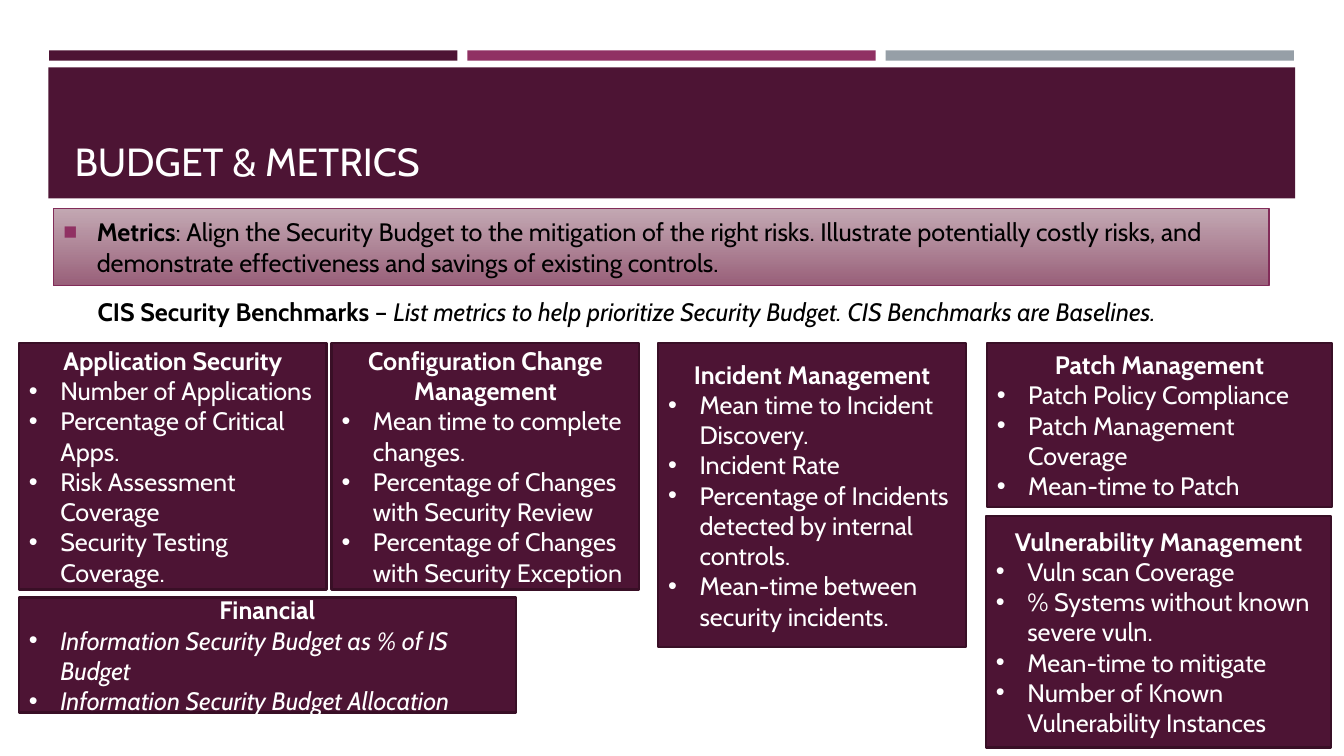
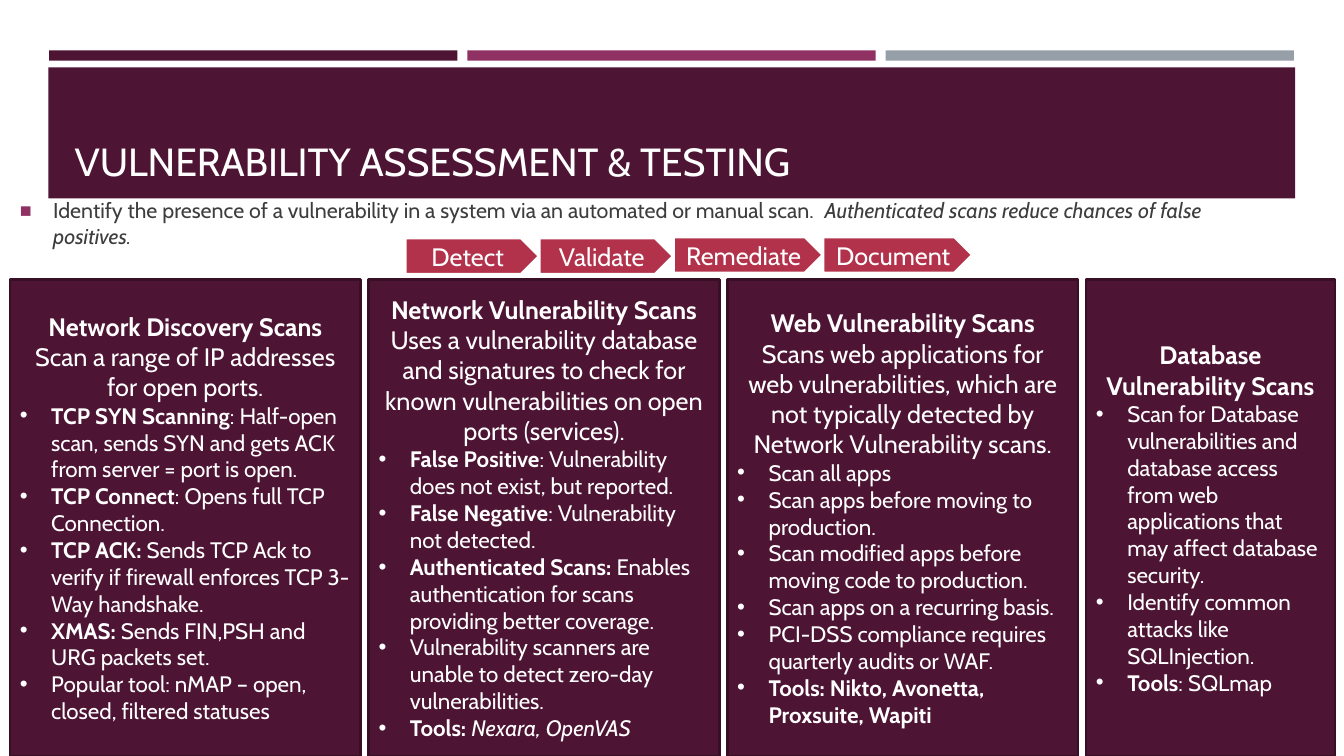
import pptx
import pptx.dml.color
import pptx.enum.shapes
import pptx.enum.text
import pptx.oxml.ns
import pptx.util
from lxml import etree

Cm = pptx.util.Cm
Pt = pptx.util.Pt
SHAPE = pptx.enum.shapes.MSO_SHAPE
ALIGN = pptx.enum.text.PP_ALIGN
ANCHOR = pptx.enum.text.MSO_ANCHOR
qn = pptx.oxml.ns.qn

FONT = "Cabin"
PLUM, MAGENTA, GREY = "4D1434", "903163", "969FA7"
PLUM_EDGE, MAGENTA_EDGE, RED = "390F26", "822C59", "B2324B"
WHITE, BLACK, BODY = "FFFFFF", "000000", "3D3D3D"


def rgb(hex_string):
    return pptx.dml.color.RGBColor.from_string(hex_string)


def add_box(slide, box, fill, line=None, line_width=1.75, preset=SHAPE.RECTANGLE):
    """Add a flat shape; box is left, top, width, height in centimetres."""
    sp = slide.shapes.add_shape(preset, *map(Cm, box))
    sp.shadow.inherit = False
    sp.fill.solid()
    sp.fill.fore_color.rgb = rgb(fill)
    if line:
        sp.line.color.rgb = rgb(line)
        sp.line.width = Pt(line_width)
    else:
        sp.line.fill.background()
    return sp


def prepare_frame(sp, anchor=ANCHOR.MIDDLE):
    tf = sp.text_frame
    tf.word_wrap = True
    tf.vertical_anchor = anchor
    return tf


def add_text_box(slide, box, anchor=ANCHOR.TOP):
    return prepare_frame(slide.shapes.add_textbox(*map(Cm, box)), anchor)


def set_bullet(p, char, indent, color=None, percent=None):
    pPr = p._p.get_or_add_pPr()
    pPr.set("marL", str(Cm(indent)))
    pPr.set("indent", str(-Cm(indent)))
    if color:
        bu_color = etree.SubElement(pPr, qn("a:buClr"))
        etree.SubElement(bu_color, qn("a:srgbClr"), val=color)
    if percent:
        etree.SubElement(pPr, qn("a:buSzPct"), val=str(percent * 1000))
    etree.SubElement(pPr, qn("a:buFont"), typeface="Arial")
    etree.SubElement(pPr, qn("a:buChar"), char=char)


def write(p, text, size, color, align=ALIGN.LEFT):
    """Fill a paragraph; *stars* mark bold and _underscores_ mark italic."""
    p.alignment = align
    for i, part in enumerate(text.split("*")):
        for j, piece in enumerate(part.split("_")):
            if piece:
                r = p.add_run()
                r.text = piece
                r.font.name = FONT
                r.font.size = Pt(size)
                r.font.color.rgb = rgb(color)
                r.font.bold = i % 2 == 1
                r.font.italic = j % 2 == 1


def add_slide(prs, title):
    """Add a slide with the three accent bars and the title band."""
    slide = prs.slides.add_slide(prs.slide_layouts[6])
    for i, color in enumerate((PLUM, MAGENTA, GREY)):
        add_box(slide, (1.24 + i * 10.54, 1.27, 10.29, 0.26), color)
    add_box(slide, (1.22, 1.7, 31.42, 3.3), PLUM)
    tf = add_text_box(slide, (1.63, 1.96, 30.63, 2.82), ANCHOR.BOTTOM)
    write(tf.paragraphs[0], title, 28, WHITE)
    return slide


def write_lead(tf, text, size, color):
    p = tf.paragraphs[0]
    set_bullet(p, "■", 0.84, MAGENTA, 92)
    write(p, text, size, color)


def add_card(slide, box, heading, bullets, intro=None, size=18):
    tf = prepare_frame(add_box(slide, box, PLUM, PLUM_EDGE))
    write(tf.paragraphs[0], f"*{heading}*", 18, WHITE, ALIGN.CENTER)
    if intro:
        write(tf.add_paragraph(), intro, 18, WHITE, ALIGN.CENTER)
    for bullet in bullets:
        p = tf.add_paragraph()
        set_bullet(p, "•", 0.79)
        write(p, bullet, size, WHITE)


def add_gradient_panel(slide, box):
    sp = add_box(slide, box, MAGENTA, MAGENTA_EDGE, 1)
    sp.fill.gradient()
    sp.fill.gradient_angle = 270
    stops = sp.fill.gradient_stops
    for stop, position, color in zip(stops, (0, 1), ("BD9FAB", "995F79")):
        stop.position = position
        stop.color.rgb = rgb(color)
    first_color = sp._element.spPr.find(".//" + qn("a:srgbClr"))
    etree.SubElement(first_color, qn("a:alpha"), val="90000")
    return prepare_frame(sp)


def add_step(slide, box, label):
    sp = add_box(slide, box, RED, WHITE, 2, SHAPE.PENTAGON)
    write(prepare_frame(sp).paragraphs[0], label, 18, WHITE, ALIGN.CENTER)


METRIC_CARDS = [
    ((0.48, 8.64, 7.75, 6.22), "Application Security",
     ["Number of Applications", "Percentage of Critical Apps.",
      "Risk Assessment Coverage", "Security Testing Coverage."]),
    ((8.36, 8.64, 7.75, 6.22), "Configuration Change Management",
     ["Mean time to complete changes.",
      "Percentage of Changes with Security Review",
      "Percentage of Changes with Security Exception"]),
    ((0.48, 15.06, 12.52, 2.9), "Financial",
     ["_Information Security Budget as % of IS Budget_",
      "_Information Security Budget Allocation_"]),
    ((16.59, 8.64, 7.75, 7.67), "Incident Management",
     ["Mean time to Incident Discovery.", "Incident Rate",
      "Percentage of Incidents detected by internal controls.",
      "Mean-time between security incidents."]),
    ((24.87, 8.64, 8.7, 4.14), "Patch Management",
     ["Patch Policy Compliance", "Patch Management Coverage",
      "Mean-time to Patch"]),
    ((24.85, 13, 8.7, 5.84), "Vulnerability Management",
     ["Vuln scan Coverage", "% Systems without known severe vuln.",
      "Mean-time to mitigate", "Number of Known Vulnerability Instances"]),
]

SCAN_CARDS = [
    (8.84, "Network Discovery Scans",
     "Scan a range of IP addresses for open ports.",
     ["*TCP SYN Scanning*: Half-open scan, sends SYN and gets ACK from server = port is open.",
      "*TCP Connect*: Opens full TCP Connection.",
      "*TCP ACK: *Sends TCP Ack to verify if firewall enforces TCP 3-Way handshake.",
      "*XMAS:* Sends FIN,PSH and URG packets set.",
      "Popular tool: nMAP – open, closed, filtered statuses"]),
    (8.84, "Network Vulnerability Scans",
     "Uses a vulnerability database and signatures to check for known "
     "vulnerabilities on open ports (services).",
     ["*False Positive*: Vulnerability does not exist, but reported.",
      "*False Negative*: Vulnerability not detected.",
      "*Authenticated Scans: *Enables authentication for scans providing better coverage.",
      "Vulnerability scanners are unable to detect zero-day vulnerabilities.",
      "*Tools: *_Nexara, OpenVAS_"]),
    (8.84, "Web Vulnerability Scans",
     "Scans web applications for web vulnerabilities, which are not typically "
     "detected by Network Vulnerability scans.",
     ["Scan all apps",
      "Scan apps before moving to production.",
      "Scan modified apps before moving code to production.",
      "Scan apps on a recurring basis.",
      "PCI-DSS compliance requires quarterly audits or WAF.",
      "*Tools: Nikto, Avonetta, Proxsuite, Wapiti*"]),
    (6.27, "Database Vulnerability Scans", None,
     ["Scan for Database vulnerabilities and database access from web "
      "applications that may affect database security.",
      "Identify common attacks like SQLInjection.",
      "*Tools*: SQLmap"]),
]

STEPS = [("Detect", 3.38, 6), ("Validate", 3.38, 6),
         ("Remediate", 3.77, 5.97), ("Document", 3.77, 5.97)]


def build_metrics(prs):
    slide = add_slide(prs, "BUDGET & METRICS")
    tf = add_gradient_panel(slide, (1.35, 5.26, 30.63, 1.93))
    write_lead(tf, "*Metrics*: Align the Security Budget to the mitigation of the "
               "right risks. Illustrate potentially costly risks, and demonstrate "
               "effectiveness and savings of existing controls.", 18, BLACK)
    for box, heading, bullets in METRIC_CARDS:
        add_card(slide, box, heading, bullets)
    tf = add_text_box(slide, (2.21, 7.34, 28.5, 1.02))
    write(tf.paragraphs[0], "*CIS Security Benchmarks *– _List metrics to help "
          "prioritize Security Budget. CIS Benchmarks are Baselines._", 18, BLACK)


def build_scans(prs):
    slide = add_slide(prs, "VULNERABILITY ASSESSMENT & TESTING")
    tf = add_text_box(slide, (0.25, 4.95, 32, 1.35), ANCHOR.MIDDLE)
    write_lead(tf, "Identify the presence of a vulnerability in a system via an "
               "automated or manual scan.  _Authenticated scans reduce chances of "
               "false positives._", 15.3, BODY)
    left = 0.25
    for width, heading, intro, bullets in SCAN_CARDS:
        add_card(slide, (left, 7.04, width, 12.01), heading, bullets, intro, 16)
        left += width + 0.2
    left = 10.21
    for label, width, top in STEPS:
        add_step(slide, (left, top, width, 0.91), label)
        left += width


def main():
    prs = pptx.Presentation()
    prs.slide_width = Cm(33.87)
    prs.slide_height = Cm(19.05)
    build_metrics(prs)
    build_scans(prs)
    prs.save("out.pptx")


if __name__ == "__main__":
    main()
